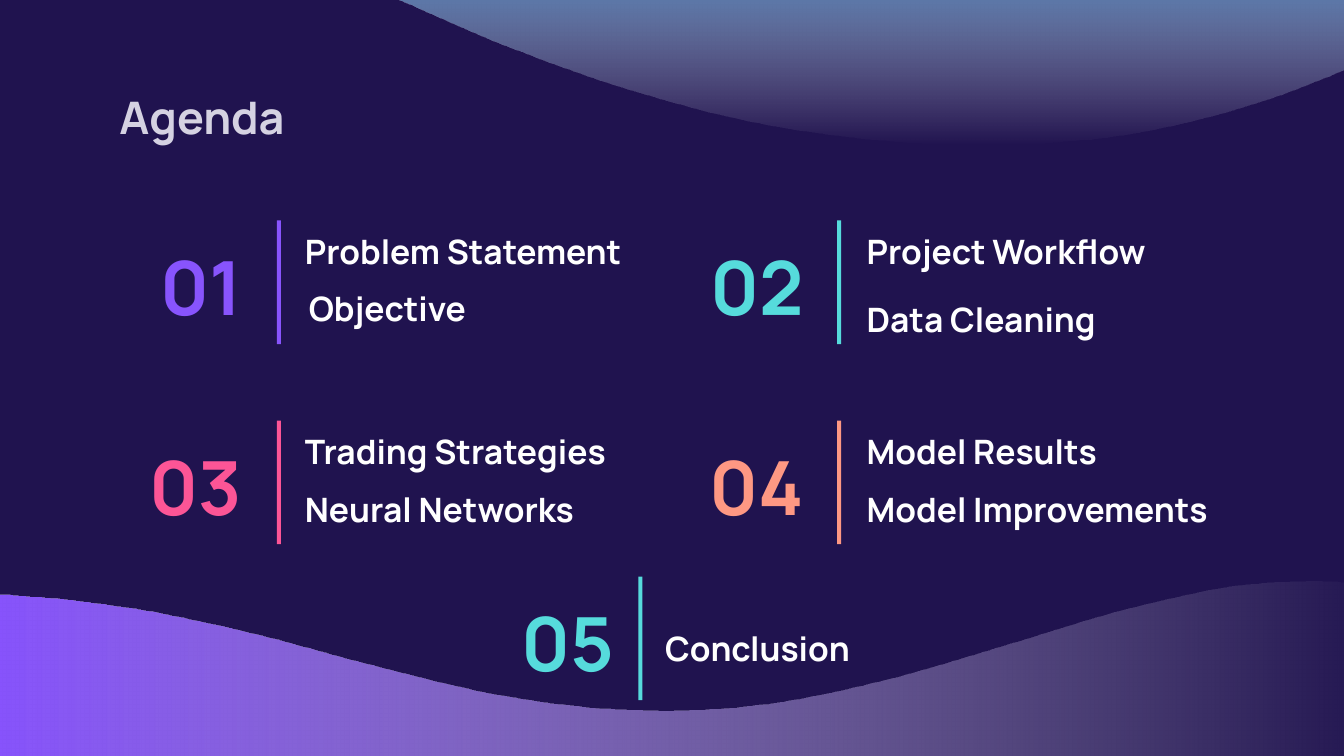
from dataclasses import dataclass

from lxml.etree import SubElement
from pptx import Presentation
from pptx.dml.color import RGBColor
from pptx.enum.shapes import MSO_SHAPE as Shape
from pptx.enum.text import MSO_ANCHOR as Anchor, PP_ALIGN as Align
from pptx.oxml.ns import qn
from pptx.util import Emu, Pt

EMU_PER_PX = 9144  # 100 px to the inch


def px(length):
    return Emu(round(length * EMU_PER_PX))


@dataclass(frozen=True)
class Theme:
    font: str = "Manrope"
    background: str = "20134F"
    heading: str = "D5D2E2"
    text: str = "FFFFFF"
    violet: str = "8854FD"
    teal: str = "56DBDC"
    pink: str = "FC5596"
    coral: str = "FE9883"
    blue: str = "369ADE"
    heading_size: int = 24
    number_size: int = 40
    entry_size: int = 18


@dataclass(frozen=True)
class Entry:
    text: str
    right: int  # offset from the item's bar
    down: int
    width: int = 276


def smooth_curve(left, step, heights, parts=8):
    """Catmull-Rom curve through equally spaced heights."""
    before = 3 * heights[0] - 3 * heights[1] + heights[2]
    after = 3 * heights[-1] - 3 * heights[-2] + heights[-3]
    knots = [before, *heights, after]
    points = []
    for index in range(len(heights) - 1):
        a, b, c, d = knots[index:index + 4]
        for part in range(parts):
            t = part / parts
            y = b + t / 2 * (c - a + t * (2 * a - 5 * b + 4 * c - d
                                          + t * (3 * (b - c) + d - a)))
            points.append((left + (index + t) * step, y))
    points.append((left + (len(heights) - 1) * step, heights[-1]))
    return points


class SlideWriter:
    def __init__(self, page, theme):
        self.page = page
        self.theme = theme
        self.fill(page.background, theme.background)

    def fill(self, target, color):
        target.fill.solid()
        target.fill.fore_color.rgb = RGBColor.from_string(color)

    def text(self, words, left, top, width, height, size, color,
             anchor=Anchor.TOP, align=Align.LEFT):
        box = self.page.shapes.add_textbox(*map(px, (left, top, width, height)))
        frame = box.text_frame
        frame.word_wrap = True
        frame.vertical_anchor = anchor
        frame.margin_left = frame.margin_right = px(10)
        frame.margin_top = frame.margin_bottom = px(10)
        frame.text = words
        para = frame.paragraphs[0]
        para.alignment = align
        font = para.runs[0].font
        font.name, font.size, font.bold = self.theme.font, Pt(size), True
        font.color.rgb = RGBColor.from_string(color)
        return para

    def bar(self, left, top, color):
        bar = self.page.shapes.add_shape(
            Shape.RECTANGLE, px(left), px(top), px(3), px(92))
        bar.shadow.inherit = False
        bar.line.fill.background()
        self.fill(bar, color)

    def wave(self, left, heights, base, color, angle):
        """Curved band, fading from its colour to clear white."""
        curve = smooth_curve(left, 94, heights)
        outline = curve + [(curve[-1][0], base), (left, base)]
        points = [(px(x), px(y)) for x, y in outline]
        builder = self.page.shapes.build_freeform(*points[0])
        builder.add_line_segments(points[1:], close=True)
        wave = builder.convert_to_shape()
        wave.shadow.inherit = False
        wave.line.fill.background()
        wave.fill.gradient()
        wave.fill.gradient_angle = angle
        first, last = wave.fill.gradient_stops
        first.position, last.position = 0, 1
        first.color.rgb = RGBColor.from_string(color)
        last.color.rgb = RGBColor.from_string("FFFFFF")
        clear = wave.element.spPr.findall(".//" + qn("a:srgbClr"))[-1]
        SubElement(clear, qn("a:alpha"), val="0")

    def item(self, number, color, left, top, number_left, entries):
        theme = self.theme
        self.text(number, number_left, top, 101, 92, theme.number_size, color,
                  Anchor.BOTTOM, Align.RIGHT)
        self.bar(left, top, color)
        for entry in entries:
            para = self.text(entry.text, left + entry.right, top + entry.down,
                             entry.width, 37, theme.entry_size, theme.text)
            para.line_spacing = 1.15
            para.space_after = Pt(12)


def main():
    deck = Presentation()
    deck.slide_width = px(1000)
    deck.slide_height = px(562.5)
    theme = Theme()
    writer = SlideWriter(deck.slides.add_slide(deck.slide_layouts[6]), theme)

    # Waves along the bottom and top edges
    writer.wave(-4, [442, 451, 470, 495, 517, 528, 525, 507, 480, 452, 434, 436],
                619, theme.violet, 0)
    writer.wave(1, [-57, -61, -41, -6, 34, 67, 91, 104, 107, 98, 74, 35],
                -80, theme.blue, 270)

    # Heading
    writer.text("Agenda", 79, 59, 842, 55, theme.heading_size, theme.heading,
                Anchor.MIDDLE)

    # Agenda items: two columns, two rows, and the closing one below
    left, right = 206, 623
    upper, lower = 164, 313
    writer.item("01", theme.violet, left, upper, 89,
                [Entry("Problem Statement", 11, -7), Entry("Objective", 14, 36)])
    writer.item("02", theme.teal, right, upper, 507,
                [Entry("Project Workflow", 12, -7), Entry("Data Cleaning", 12, 44)])
    writer.item("03", theme.pink, left, lower, 89,
                [Entry("Trading Strategies", 11, -7), Entry("Neural Networks", 11, 36)])
    writer.item("04", theme.coral, right, lower, 507,
                [Entry("Model Results", 12, -7),
                 Entry("Model Improvements", 12, 36, 303)])
    writer.item("05", theme.teal, 475, 429, 366, [Entry("Conclusion", 10, 24)])

    deck.save("out.pptx")


if __name__ == "__main__":
    main()
